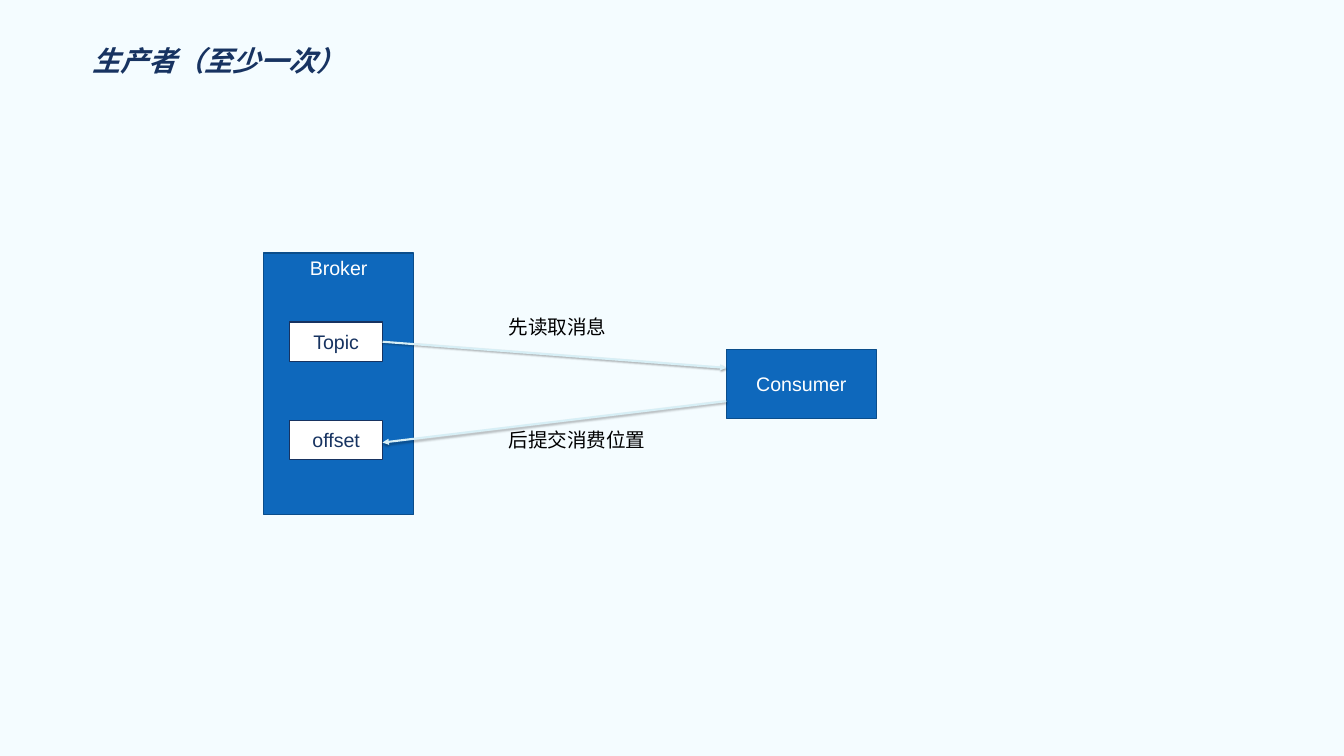
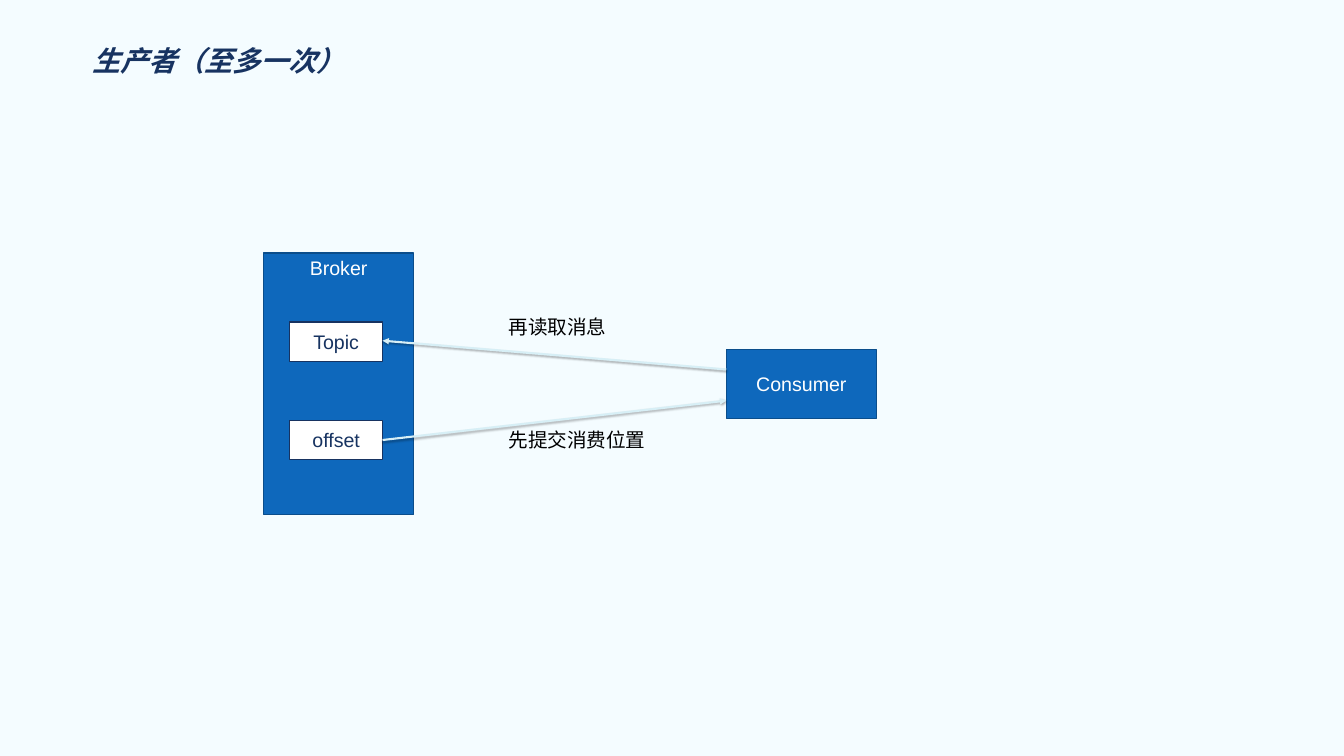
from pptx import Presentation
from pptx.dml.color import RGBColor as Rgb
from pptx.enum.shapes import MSO_CONNECTOR as Conn, MSO_SHAPE as Kind
from pptx.enum.text import MSO_ANCHOR as Anchor, MSO_AUTO_SIZE as Fit, PP_ALIGN as Align
from pptx.oxml import parse_xml
from pptx.oxml.ns import nsdecls
from pptx.util import Pt

HUES = {
    "back": "F4FCFF",
    "blue": "0E68BC",
    "edge": "0A4D8B",
    "navy": "173361",
    "pale": "D7EFF6",
    "white": "FFFFFF",
    "black": "000000",
}

# Shared edges of the diagram
LEFT, RIGHT = 546.5, 1037.5
NOTE_X = 719.3

# Title, upper note, lower note, arrows as (from, to)
PAGES = [
    ("生产者（至少一次）", "先读取消息", "后提交消费位置",
     [((LEFT, 488.2), (RIGHT, 525.6)), ((RIGHT, 573.1), (LEFT, 632.2))]),
    ("生产者（至多一次）", "再读取消息", "先提交消费位置",
     [((LEFT, 628.6), (RIGHT, 572.4)), ((RIGHT, 527.8), (LEFT, 486.7))]),
]


def hue(name):
    return Rgb.from_string(HUES[name])


def write(frame, text, color="black", size=28, face="Arial", bold=False,
          slant=False, align=Align.LEFT, anchor=Anchor.TOP, space=None):
    frame.vertical_anchor = anchor
    para = frame.paragraphs[0]
    para.alignment = align
    para.line_spacing = space
    run = para.add_run()
    run.text = text
    font = run.font
    font.name, font.size = face, Pt(size)
    font.bold, font.italic = bold, slant
    font.color.rgb = hue(color)


def add_title(slide, text):
    title = slide.shapes.title
    title.left, title.top = Pt(132), Pt(57.6)
    title.width, title.height = Pt(1656), Pt(318)
    frame = title.text_frame
    frame.auto_size, frame.word_wrap = Fit.NONE, True
    frame.margin_left, frame.margin_right = Pt(0), Pt(19.2)
    frame.margin_top = frame.margin_bottom = Pt(9.6)
    write(frame, text, color="navy", size=40, face="Montserrat",
          bold=True, slant=True, space=0.9)


def add_box(slide, text, x, y, wide, high, fill="blue", edge="edge",
            color="white", anchor=Anchor.MIDDLE):
    box = slide.shapes.add_shape(Kind.RECTANGLE, Pt(x), Pt(y), Pt(wide), Pt(high))
    box.shadow.inherit = False
    box.fill.solid()
    box.fill.fore_color.rgb = hue(fill)
    box.line.color.rgb = hue(edge)
    box.line.width = Pt(2)
    write(box.text_frame, text, color=color, align=Align.CENTER, anchor=anchor)


def add_note(slide, text, y, wide):
    note = slide.shapes.add_textbox(Pt(NOTE_X), Pt(y), Pt(wide), Pt(41))
    frame = note.text_frame
    frame.word_wrap, frame.auto_size = False, Fit.SHAPE_TO_FIT_TEXT
    write(frame, text)


def add_arrow(slide, start, end):
    arrow = slide.shapes.add_connector(
        Conn.STRAIGHT, *(Pt(value) for value in start + end))
    arrow.line.color.rgb = hue("pale")
    arrow.line.width = Pt(3)
    # Arrowhead and soft shadow below the line
    arrow.line._get_or_add_ln().append(
        parse_xml(f'<a:tailEnd {nsdecls("a")} type="triangle"/>'))
    arrow._element.spPr.append(parse_xml(
        f'<a:effectLst {nsdecls("a")}>'
        f'<a:outerShdw blurRad="{Pt(3.1)}" dist="{Pt(1.8)}" dir="5400000" rotWithShape="0">'
        f'<a:srgbClr val="{HUES["black"]}"><a:alpha val="35000"/></a:srgbClr>'
        '</a:outerShdw></a:effectLst>'))


def add_page(deck, title, upper, lower, arrows):
    slide = deck.slides.add_slide(deck.slide_layouts[5])
    slide.background.fill.solid()
    slide.background.fill.fore_color.rgb = hue("back")
    add_title(slide, title)

    # Broker with its two stores, and the consumer
    add_box(slide, "Broker", 376.5, 361.5, 214.5, 373.7, anchor=Anchor.TOP)
    add_box(slide, "Consumer", RIGHT, 499, 214.5, 98.6)
    for name, y in (("Topic", 460.1), ("offset", 600.5)):
        add_box(slide, name, 414, y, 132.5, 56.2,
                fill="white", edge="navy", color="navy")

    # Message flow
    for start, end in arrows:
        add_arrow(slide, start, end)
    add_note(slide, upper, 445.7, 154.1)
    add_note(slide, lower, 608.4, 210.2)


def main():
    deck = Presentation()
    deck.slide_width, deck.slide_height = Pt(1920), Pt(1080)
    for page in PAGES:
        add_page(deck, *page)
    deck.save("out.pptx")


if __name__ == "__main__":
    main()
